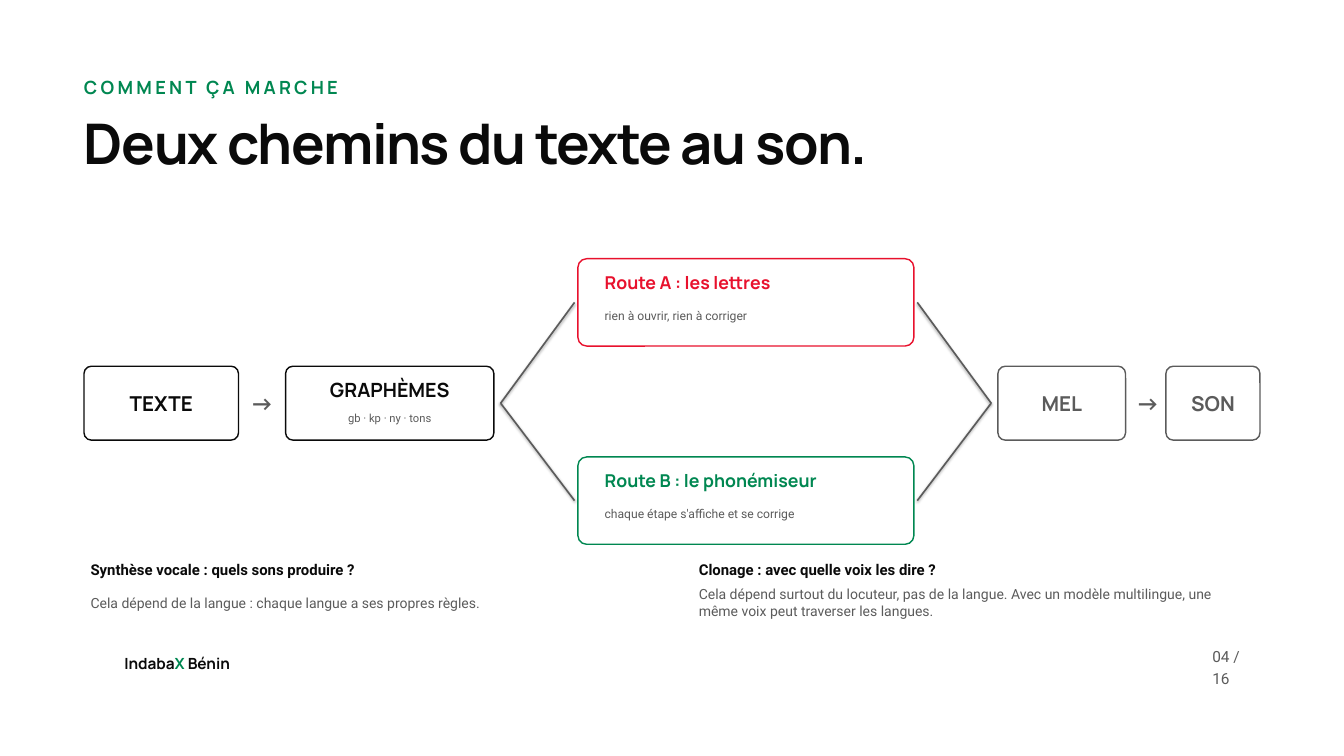
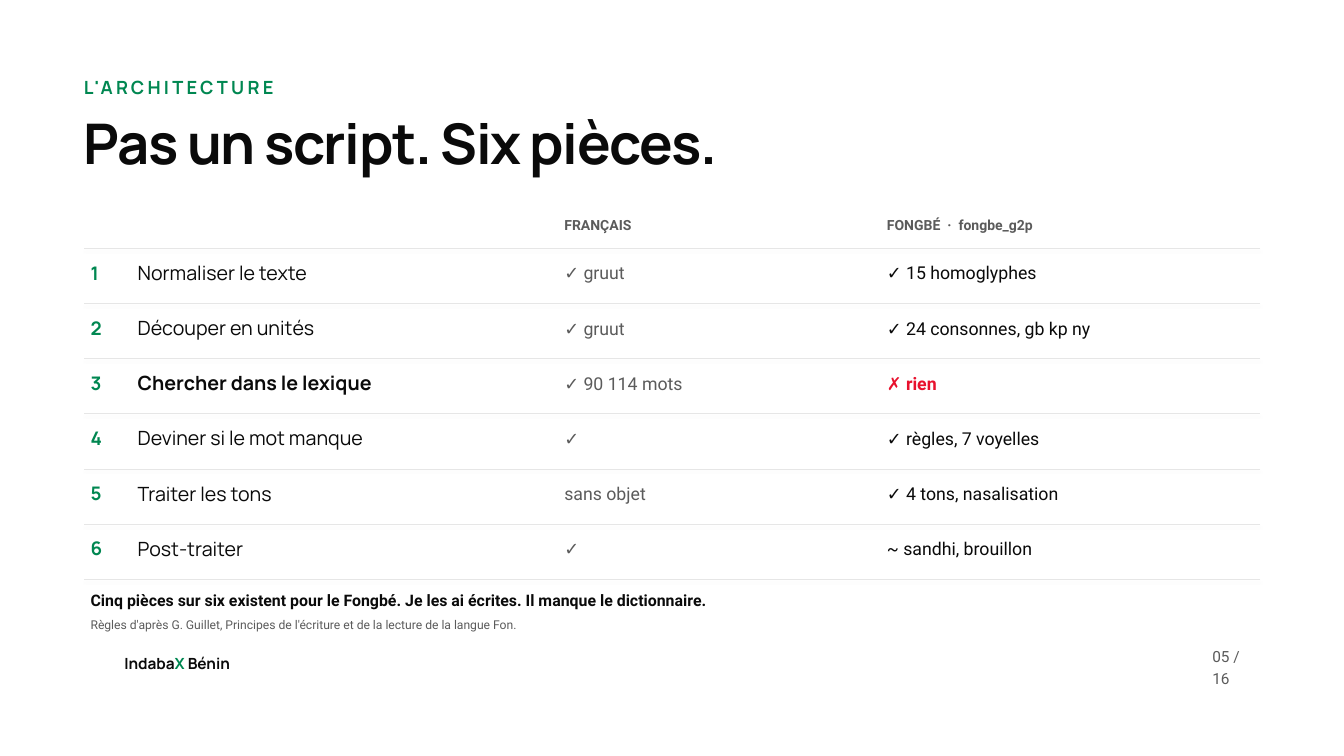
from pptx import Presentation
from pptx import util as u
from pptx.dml.color import RGBColor
from pptx.enum import shapes, text

PX = 9144
INK, GREY, RULE, WHITE = "0A0A0A", "5B5B5B", "E6E6E6", "FFFFFF"
GREEN, RED = "008751", "E8112D"
HEAD, BODY = "Manrope", "Roboto"
LEFT, RIGHT, MID = 125, 1875, 600
TOTAL = 16


def px(n):
    return u.Emu(n * PX)


def tint(code):
    return RGBColor.from_string(code)


def fit(obj, vals):
    for key, val in vals.items():
        setattr(obj, key, val)


class Deck:
    def __init__(self):
        self.prs = Presentation()
        fit(self.prs, {"slide_width": px(2000), "slide_height": px(1125)})
        self.slide = None

    def text(self, box, words, size, face=BODY, hue=INK, bold=False,
             align=None, lead=None, track=None):
        frame = self.slide.shapes.add_textbox(*map(px, box)).text_frame
        fit(frame, {"word_wrap": True,
                    "auto_size": text.MSO_AUTO_SIZE.SHAPE_TO_FIT_TEXT})
        para = frame.paragraphs[0]
        if lead:
            fit(frame, {"margin_" + side: 0
                        for side in ("left", "top", "right", "bottom")})
            para.line_spacing = u.Pt(lead)
        else:
            frame.vertical_anchor = text.MSO_ANCHOR.MIDDLE
        if align:
            para.alignment = align
        parts = [(words, hue)] if isinstance(words, str) else words
        for part, shade in parts:
            run = para.add_run()
            run.text = part
            fit(run.font, {"size": u.Pt(size), "name": face, "bold": bold})
            run.font.color.rgb = tint(shade)
            if track:
                run._r.get_or_add_rPr().set("spc", str(track))

    def label(self, box, words, size, hue=INK, face=HEAD, bold=True):
        self.text(box, words, size, face, hue, bold, text.PP_ALIGN.CENTER)

    def card(self, box, hue):
        kind = shapes.MSO_SHAPE.ROUNDED_RECTANGLE
        shape = self.slide.shapes.add_shape(kind, *map(px, box))
        shape.adjustments[0] = 0.1
        shape.shadow.inherit = False
        shape.fill.solid()
        shape.fill.fore_color.rgb = tint(WHITE)
        shape.line.color.rgb = tint(hue)
        shape.line.width = u.Pt(1.5)

    def line(self, start, end, hue, width):
        kind = shapes.MSO_CONNECTOR.STRAIGHT
        link = self.slide.shapes.add_connector(kind, *map(px, start + end))
        link.line.color.rgb = tint(hue)
        link.line.width = u.Pt(width)

    def page(self, num, kicker, title):
        self.slide = self.prs.slides.add_slide(self.prs.slide_layouts[6])
        self.text((LEFT, 108, 1750, 33), kicker, 19.5, HEAD, GREEN, True,
                  lead=27.3, track=350)
        self.text((LEFT, 172, 1667, 89), title, 60, HEAD, INK, True,
                  lead=64.8, track=-150)
        brand = [("Indaba", INK), ("X", GREEN), (" Bénin", INK)]
        self.text((185, 969, 173, 28), brand, 16.5, HEAD, bold=True, lead=23.1)
        self.text((1804, 959, 71, 47), f"{num:02} / {TOTAL}", 16.5, hue=GREY,
                  lead=23.1)


def routes(deck):
    deck.page(4, "COMMENT ÇA MARCHE", "Deux chemins du texte au son.")
    top, high = MID - 55, 110
    steps = [("TEXTE", 125, 230, INK), ("MEL", 1485, 190, GREY),
             ("SON", 1735, 140, GREY)]
    for name, left, wide, hue in steps:
        box = (left, top, wide, high)
        deck.card(box, hue)
        deck.label(box, name, 22, hue)
    for left, wide in ((360, 60), (1680, 55)):
        deck.label((left, top, wide, high), "→", 26, GREY)

    deck.card((425, top, 310, high), INK)
    deck.label((425, top + 7, 310, 55), "GRAPHÈMES", 21)
    deck.label((425, top + 57, 310, 40), "gb · kp · ny · tons", 12, GREY,
               BODY, False)

    paths = [
        (385, 450, RED, "Route A : les lettres", "rien à ouvrir, rien à corriger"),
        (680, 745, GREEN, "Route B : le phonémiseur",
         "chaque étape s'affiche et se corrige"),
    ]
    for y, join, hue, name, note in paths:
        deck.line((745, MID), (855, join), GREY, 1.75)
        deck.line((1365, join), (1475, MID), GREY, 1.75)
        deck.card((860, y, 500, 130), hue)
        deck.text((890, y + 7, 450, 55), name, 19, HEAD, hue, True)
        deck.text((890, y + 60, 450, 50), note, 13, hue=GREY)

    notes = [
        (LEFT, 820, "Synthèse vocale : quels sons produire ?",
         "Cela dépend de la langue : chaque langue a ses propres règles."),
        (1030, 845, "Clonage : avec quelle voix les dire ?",
         "Cela dépend surtout du locuteur, pas de la langue. Avec un modèle "
         "multilingue, une même voix peut traverser les langues."),
    ]
    for left, wide, ask, reply in notes:
        deck.text((left, 830, wide, 34), ask, 16, bold=True)
        deck.text((left, 866, wide, 62), reply, 15, hue=GREY)


def pieces(deck):
    deck.page(5, "L'ARCHITECTURE", "Pas un script. Six pièces.")
    french, fon = (830, 420), (1310, 540)
    for (left, wide), name in ((french, "FRANÇAIS"),
                               (fon, "FONGBÉ  ·  fongbe_g2p")):
        deck.text((left, 315, wide, 40), name, 15, hue=GREY, bold=True)

    rows = [
        ("Normaliser le texte", "✓ gruut", "✓ 15 homoglyphes"),
        ("Découper en unités", "✓ gruut", "✓ 24 consonnes, gb kp ny"),
        ("Chercher dans le lexique", "✓ 90 114 mots", "✗ rien"),
        ("Deviner si le mot manque", "✓", "✓ règles, 7 voyelles"),
        ("Traiter les tons", "sans objet", "✓ 4 tons, nasalisation"),
        ("Post-traiter", "✓", "~ sandhi, brouillon"),
    ]
    first, step = 370, 82
    for i in range(len(rows) + 1):
        y = first + i * step
        deck.line((LEFT, y), (RIGHT, y), RULE, 1)
    for i, (task, have, ours) in enumerate(rows):
        y = first + i * step + 5
        gap = ours.startswith("✗")
        cells = [
            (LEFT, 60, str(i + 1), 20, HEAD, GREEN, True),
            (195, 620, task, 21, HEAD, INK, gap),
            (*french, have, 19, BODY, GREY, False),
            (*fon, ours, 19, BODY, RED if gap else INK, gap),
        ]
        for left, wide, *look in cells:
            deck.text((left, y, wide, 62), *look)

    deck.text((LEFT, 872, 1750, 42),
              "Cinq pièces sur six existent pour le Fongbé. Je les ai écrites. "
              "Il manque le dictionnaire.", 17, bold=True)
    deck.text((LEFT, 912, 1750, 35),
              "Règles d'après G. Guillet, Principes de l'écriture et de la "
              "lecture de la langue Fon.", 13, hue=GREY)


def main():
    deck = Deck()
    routes(deck)
    pieces(deck)
    deck.prs.save("out.pptx")


if __name__ == "__main__":
    main()
